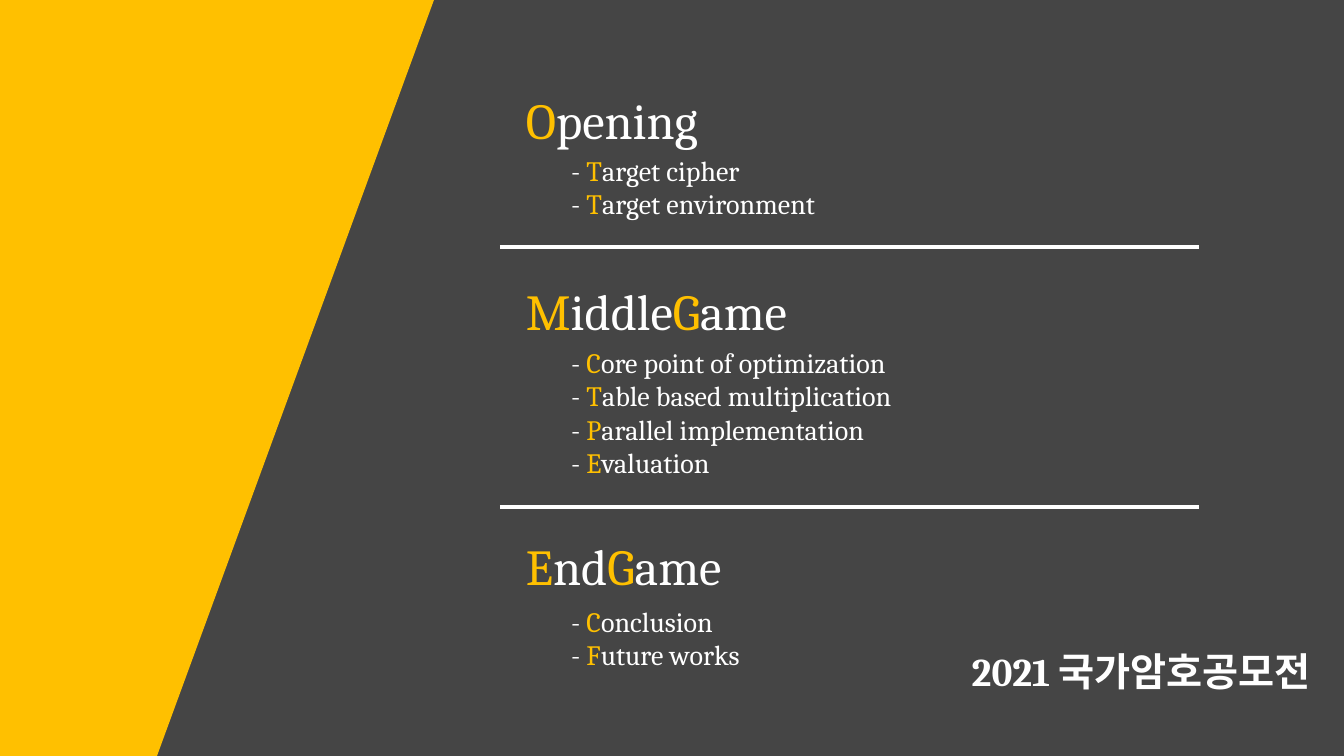
from itertools import groupby

from lxml.etree import SubElement
from pptx import Presentation
from pptx.dml.color import RGBColor
from pptx.enum.shapes import MSO_CONNECTOR as Connector, MSO_SHAPE as Shape
from pptx.enum.text import MSO_ANCHOR as Anchor, MSO_AUTO_SIZE as AutoSize, PP_ALIGN as Align
from pptx.oxml.ns import qn
from pptx.util import Emu, Pt

WIDTH, HEIGHT = 1344, 756
COLORS = {"ground": "454545", "accent": "FFC000", "text": "FFFFFF"}
FONT = "Cambria"
SECTIONS = [
    ((500, 83, 699, 143), 65, "Opening", ["Target cipher", "Target environment"]),
    ((500, 274, 699, 212), 66, "MiddleGame",
     ["Core point of optimization", "Table based multiplication",
      "Parallel implementation", "Evaluation"]),
    ((500, 529, 699, 147), 70, "EndGame", ["Conclusion", "Future works"]),
]
RULE_TOPS = [247, 507]


def px(length):
    return Emu(round(length * 914400 / 100.8))


def color(name):
    return RGBColor.from_string(COLORS[name])


def place(item, box):
    item.left, item.top, item.width, item.height = map(px, box)


def prepare_frame(item, anchor):
    frame = item.text_frame
    frame.word_wrap = True
    frame.auto_size = AutoSize.NONE
    frame.vertical_anchor = anchor
    return frame


def add_span(para, text, size, tone="text", bold=False):
    span = para.add_run()
    span.text = text
    span.font.name = FONT
    span.font.size = Pt(size)
    span.font.bold = bold
    span.font.color.rgb = color(tone)


def add_capitals(para, text, size):
    for is_capital, letters in groupby(text, key=str.isupper):
        add_span(para, "".join(letters), size, tone="accent" if is_capital else "text")


def clear_bullet(para, indent=0):
    properties = para._p.get_or_add_pPr()
    properties.set("marL", str(px(indent)))
    properties.set("indent", "0")
    SubElement(properties, qn("a:buNone"))


def add_panel_part(page, kind, box):
    part = page.shapes.add_shape(kind, *map(px, box))
    part.shadow.inherit = False
    part.fill.solid()
    part.fill.fore_color.rgb = color("accent")
    part.line.fill.background()
    return part


def add_side_panel(page, box, slant_width):
    left, top, width, height = box
    bar_width = width - slant_width
    add_panel_part(page, Shape.RECTANGLE, (left, top, bar_width, height))
    slant = add_panel_part(page, Shape.RIGHT_TRIANGLE,
                           (left + bar_width, top, slant_width, height))
    slant.rotation = 180
    slant._element.spPr.xfrm.set("flipH", "1")


def add_rule(page, left, top, width):
    rule = page.shapes.add_connector(
        Connector.STRAIGHT, px(left), px(top), px(left + width), px(top))
    rule.line.color.rgb = color("text")
    rule.line.width = Pt(2.25)
    SubElement(rule._element.spPr, qn("a:effectLst"))


def add_section(page, body, box, list_offset, heading, entries):
    left, top, width, height = box
    heading_box = page.shapes.add_textbox(*map(px, (left + 16, top, width - 16, 72)))
    frame = prepare_frame(heading_box, Anchor.MIDDLE)
    add_capitals(frame.paragraphs[0], heading, 36)

    place(body, (left + 48, top + list_offset, width - 48, height - list_offset))
    frame = prepare_frame(body, Anchor.TOP)
    for number, entry in enumerate(entries):
        para = frame.add_paragraph() if number else frame.paragraphs[0]
        para.space_before = Pt(0)
        para.line_spacing = 1.0
        clear_bullet(para, indent=13)
        add_capitals(para, "- " + entry, 20)


def fill_banner(title, box, text):
    place(title, box)
    para = prepare_frame(title, Anchor.TOP).paragraphs[0]
    para.alignment = Align.RIGHT
    para.line_spacing = 0.8
    para.space_before = Pt(10)
    add_span(para, text, 28, bold=True)


def main():
    deck = Presentation()
    deck.slide_width, deck.slide_height = px(WIDTH), px(HEIGHT)
    page = deck.slides.add_slide(deck.slide_layouts.get_by_name("Comparison"))
    page.background.fill.solid()
    page.background.fill.fore_color.rgb = color("ground")

    title, *bodies = page.placeholders
    add_side_panel(page, (0, 0, 434, HEIGHT), slant_width=277)
    for body, section in zip(bodies, SECTIONS):
        add_section(page, body, *section)
    for spare in bodies[len(SECTIONS):]:
        spare._element.getparent().remove(spare._element)
    for top in RULE_TOPS:
        add_rule(page, 500, top, 699)
    fill_banner(title, (168, 651, 1153, 50), "2021 국가암호공모전")
    deck.save("out.pptx")


if __name__ == "__main__":
    main()
